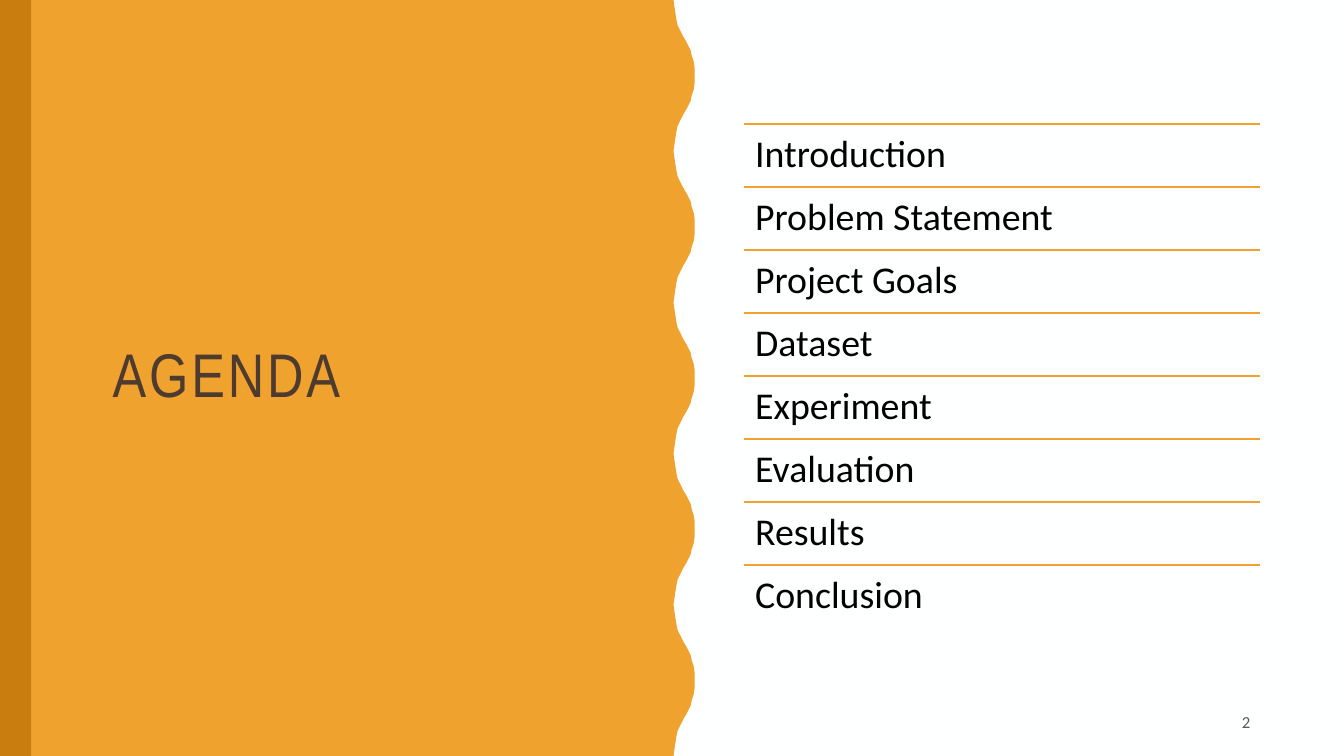
from lxml import etree
from pptx import Presentation
from pptx import util as u
from pptx.dml.color import RGBColor
from pptx.enum import shapes, text
from pptx.oxml.ns import qn

ORANGE, DARK_ORANGE, BROWN = "F0A22E", "C87D0E", "4E3B30"
WHITE, BLACK, GREY = "FEFFFF", "000000", "595959"

AGENDA = ["Introduction", "Problem Statement", "Project Goals", "Dataset",
          "Experiment", "Evaluation", "Results", "Conclusion"]
LIST_LEFT, LIST_TOP, LIST_WIDTH, ROW_HEIGHT = 7.38, 1.23, 5.12, 0.625

# Half a wave, from trough to crest: (offset right, offset down)
HALF_WAVE = [(0, 0), (0.01, 0.07), (0.02, 0.14), (0.03, 0.2), (0.04, 0.25),
             (0.06, 0.29), (0.08, 0.33), (0.1, 0.37), (0.13, 0.42),
             (0.15, 0.46), (0.17, 0.5), (0.18, 0.55), (0.2, 0.61),
             (0.21, 0.68), (0.21, 0.75)]
WAVE_LEFT, WAVE_PERIOD, WAVE_COUNT = 6.68, 1.5, 5


def color(value):
    return RGBColor.from_string(value)


class SlideBuilder:
    """Holds the current slide and the shared style."""

    formats = {
        "title": {"name": "Arial Narrow", "size": u.Pt(44)},
        "item": {"name": "Calibri", "size": u.Pt(27)},
        "number": {"name": "Calibri", "size": u.Pt(12)},
    }

    def __init__(self, deck):
        self.slide = deck.slides.add_slide(deck.slide_layouts[6])
        self.shapes = self.slide.shapes

    def background(self, fill):
        self.slide.background.fill.solid()
        self.slide.background.fill.fore_color.rgb = color(fill)

    def paint(self, shape, fill):
        shape.shadow.inherit = False
        shape.fill.solid()
        shape.fill.fore_color.rgb = color(fill)
        shape.line.fill.background()

    def rectangle(self, left, top, width, height, fill):
        shape = self.shapes.add_shape(
            shapes.MSO_SHAPE.RECTANGLE,
            *map(u.Inches, (left, top, width, height)))
        self.paint(shape, fill)

    def outline(self, points, fill):
        start, *rest = [(u.Inches(x), u.Inches(y)) for x, y in points]
        builder = self.shapes.build_freeform(*start)
        builder.add_line_segments(rest, close=True)
        self.paint(builder.convert_to_shape(), fill)

    def rule(self, left, top, width):
        line = self.shapes.add_connector(
            shapes.MSO_CONNECTOR.STRAIGHT,
            *map(u.Inches, (left, top, left + width, top)))
        line.line.color.rgb = color(ORANGE)
        line.line.width = u.Pt(1)
        etree.SubElement(line._element.spPr, qn("a:effectLst"))

    def label(self, words, left, top, width, height, style, fill,
              frame=None, layout=None, spacing=0):
        box = self.shapes.add_textbox(
            *map(u.Inches, (left, top, width, height)))
        box.text_frame.word_wrap = True
        para = box.text_frame.paragraphs[0]
        span = para.add_run()
        span.text = words
        span.font.color.rgb = color(fill)
        for target, values in ((box.text_frame, frame or {}),
                               (para, layout or {}),
                               (span.font, self.formats[style])):
            for name, value in values.items():
                setattr(target, name, value)
        if spacing:
            span._r.get_or_add_rPr().set("spc", str(spacing * 100))


def wave_panel():
    """Corner points of the panel with its wavy right edge."""
    wave = HALF_WAVE + [(x, WAVE_PERIOD - y) for x, y in HALF_WAVE[-2:0:-1]]
    edge = [(WAVE_LEFT + x, number * WAVE_PERIOD + y)
            for number in range(WAVE_COUNT) for x, y in wave]
    bottom = WAVE_COUNT * WAVE_PERIOD
    return [(0, 0), *edge, (WAVE_LEFT, bottom), (0, bottom)]


def main():
    deck = Presentation()
    deck.slide_width, deck.slide_height = u.Inches(13.33), u.Inches(7.5)
    page = SlideBuilder(deck)
    middle = {"vertical_anchor": text.MSO_ANCHOR.MIDDLE}

    # Panel, title and side bar
    page.background(WHITE)
    page.outline(wave_panel(), ORANGE)
    page.label("AGENDA", 1.02, 1.27, 4.94, 4.96, "title", BROWN,
               frame=middle, layout={"line_spacing": 0.9}, spacing=2)
    page.rectangle(0, 0, 0.31, 7.5, DARK_ORANGE)

    # Agenda list
    insets = {f"margin_{side}": u.Inches(0.11)
              for side in ("left", "top", "right", "bottom")}
    for row, item in enumerate(AGENDA):
        top = LIST_TOP + row * ROW_HEIGHT
        page.rule(LIST_LEFT, top, LIST_WIDTH)
        page.label(item, LIST_LEFT, top, LIST_WIDTH, ROW_HEIGHT, "item", BLACK,
                   frame=insets, layout={"line_spacing": 0.9})

    # Page number
    page.label("2", 10.99, 6.97, 1.51, 0.38, "number", GREY, frame=middle,
               layout={"alignment": text.PP_ALIGN.RIGHT,
                       "space_after": u.Pt(6)})

    deck.save("out.pptx")


if __name__ == "__main__":
    main()
